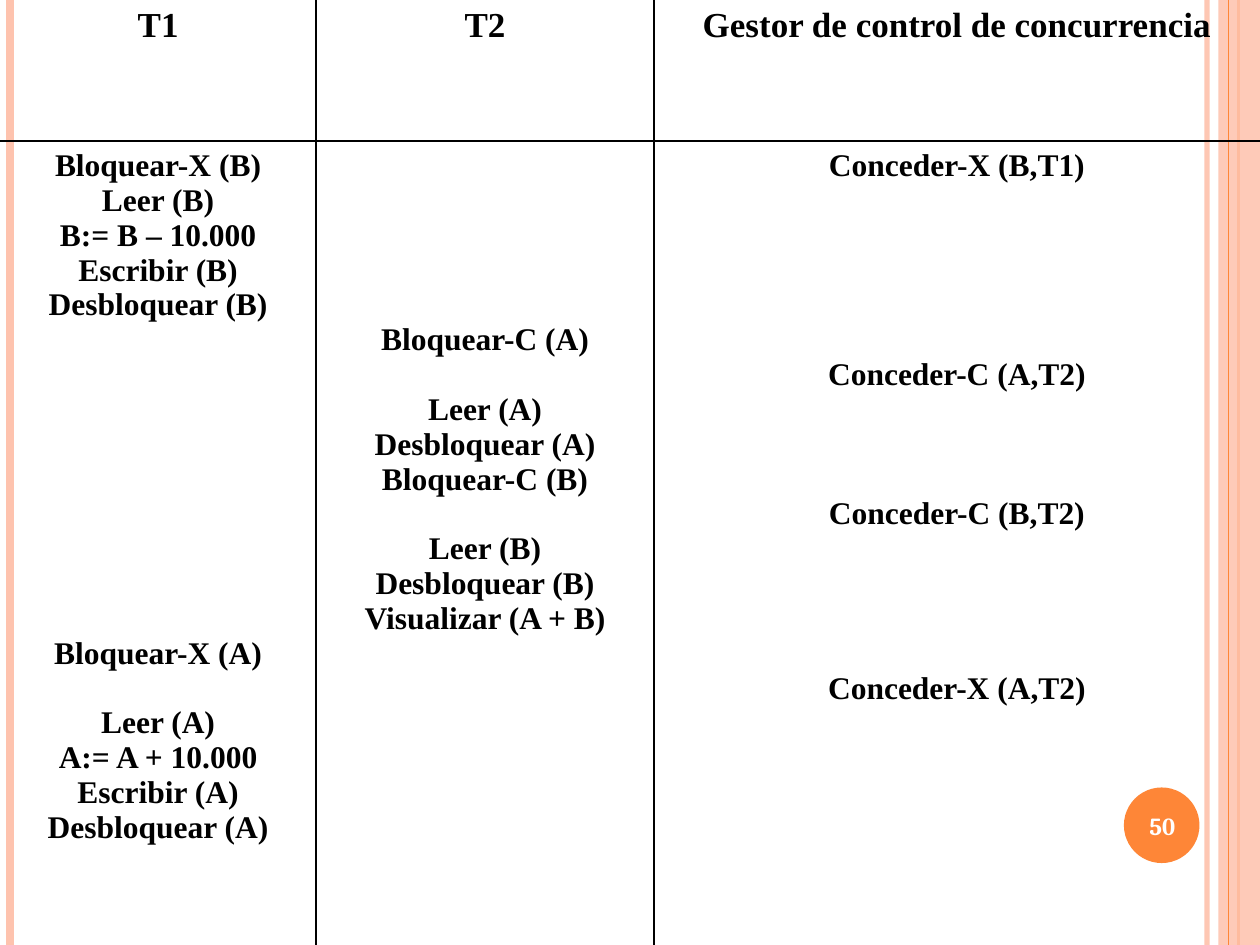
from dataclasses import dataclass

from lxml import etree
from pptx import Presentation
from pptx.dml.color import RGBColor
from pptx.enum.shapes import MSO_CONNECTOR, MSO_SHAPE
from pptx.enum.text import MSO_ANCHOR, PP_ALIGN
from pptx.oxml.ns import qn
from pptx.util import Inches, Pt

STRAIGHT = MSO_CONNECTOR.STRAIGHT
RECT, OVAL = MSO_SHAPE.RECTANGLE, MSO_SHAPE.OVAL
CENTER, MIDDLE = PP_ALIGN.CENTER, MSO_ANCHOR.MIDDLE


@dataclass(frozen=True)
class Theme:
    ink: str = "000000"
    white: str = "FFFFFF"
    orange: str = "FE8637"
    peach: str = "FEC3AE"
    body_font: str = "Times New Roman"
    number_font: str = "Cambria"
    head_size: float = 20
    body_size: float = 18
    number_size: float = 14
    step: float = 19.9  # height of one time step in the schedule
    border: float = 1


T = Theme()
PLAIN_TABLE = "{2D5ABB26-0587-4C30-8999-92F81FD0307C}"
WIDTH, HEIGHT = 10, 7.5
COLUMNS = (2.51, 2.68, 4.81)
ROWS = (1.12, 6.38)

# Each column: heading, then its operations keyed by time step
SCHEDULE = (
    ("T1", {0: "Bloquear-X (B)", 1: "Leer (B)", 2: "B:= B – 10.000",
            3: "Escribir (B)", 4: "Desbloquear (B)", 14: "Bloquear-X (A)",
            16: "Leer (A)", 17: "A:= A + 10.000", 18: "Escribir (A)",
            19: "Desbloquear (A)"}),
    ("T2", {5: "Bloquear-C (A)", 7: "Leer (A)", 8: "Desbloquear (A)",
            9: "Bloquear-C (B)", 11: "Leer (B)", 12: "Desbloquear (B)",
            13: "Visualizar (A + B)"}),
    ("Gestor de control de concurrencia",
     {0: "Conceder-X (B,T1)", 6: "Conceder-C (A,T2)",
      10: "Conceder-C (B,T2)", 15: "Conceder-X (A,T2)"}),
)


def rgb(color):
    return RGBColor.from_string(color)


def set_alpha(shape, percent):
    for clr in shape._element.spPr.iter(qn("a:srgbClr")):
        etree.SubElement(clr, qn("a:alpha")).set("val", str(percent * 1000))


def add_run(p, text, font, size, color):
    p.alignment = CENTER
    r = p.add_run()
    r.text = text
    r.font.name, r.font.size, r.font.bold = font, Pt(size), True
    r.font.color.rgb = rgb(color)


def add_rail(s, x, top, height, color, width, alpha=100):
    line = s.shapes.add_connector(STRAIGHT, Inches(x), Inches(top),
                                  Inches(x), Inches(top + height))
    line.line.color.rgb = rgb(color)
    line.line.width = Pt(width)
    etree.SubElement(line._element.spPr, qn("a:effectLst"))
    if alpha < 100:
        set_alpha(line, alpha)


def add_solid(s, kind, left, top, width, height, color):
    sp = s.shapes.add_shape(kind, Inches(left), Inches(top),
                            Inches(width), Inches(height))
    sp.shadow.inherit = False
    sp.fill.solid()
    sp.fill.fore_color.rgb = rgb(color)
    sp.line.fill.background()
    return sp


def add_frame(s, left, top, width, height):
    """Vertical rails and the translucent band at the right edge."""
    right = left + width
    add_rail(s, right - 0.42, top, height, T.peach, 3, 93)
    add_rail(s, left + 0.08, top, height, T.peach, 4.5)
    add_rail(s, right - 0.17, top, height, T.orange, 1.5)
    band = add_solid(s, RECT, right - 0.33, top, 0.33, height, T.peach)
    set_alpha(band, 87)
    add_rail(s, right - 0.25, top, height, T.orange, 0.75)


def add_page_number(s, left, top, size, number):
    add_solid(s, OVAL, left, top, size, size, T.orange)
    box = s.shapes.add_textbox(Inches(left - 0.03), Inches(top + 0.02),
                               Inches(size + 0.07), Inches(size - 0.03))
    tf = box.text_frame
    tf.word_wrap = True
    tf.vertical_anchor = MIDDLE
    add_run(tf.paragraphs[0], number, T.number_font, T.number_size, T.white)


def set_borders(cell, sides):
    """Draw the given sides, listed in schema order L, R, T, B."""
    tc_pr = cell._tc.get_or_add_tcPr()
    for i, side in enumerate(sides):
        ln = etree.Element(qn(f"a:ln{side}"), w=str(Pt(T.border)))
        fill = etree.SubElement(ln, qn("a:solidFill"))
        etree.SubElement(fill, qn("a:srgbClr")).set("val", T.ink)
        tc_pr.insert(i, ln)


def fill_operations(cell, operations):
    """Place operations on their time steps by margin and spacing."""
    tf = cell.text_frame
    first = min(operations)
    cell.margin_top = Inches(0.06) + Pt(T.step * first)
    previous = first - 1
    for step, text in operations.items():
        p = tf.paragraphs[0] if step == first else tf.add_paragraph()
        p.line_spacing = Pt(T.step)
        p.space_before = Pt(T.step * (step - previous - 1))
        add_run(p, text, T.body_font, T.body_size, T.ink)
        previous = step


def add_schedule(s, left, top, width, height):
    frame = s.shapes.add_table(len(ROWS), len(COLUMNS), Inches(left),
                               Inches(top), Inches(width), Inches(height))
    table = frame.table
    table.first_row = table.horz_banding = False
    table._tbl.tblPr.find(qn("a:tableStyleId")).text = PLAIN_TABLE
    for row, h in zip(table.rows, ROWS):
        row.height = Inches(h)
    last = len(COLUMNS) - 1
    for c, (heading, operations) in enumerate(SCHEDULE):
        table.columns[c].width = Inches(COLUMNS[c])
        head, body = table.cell(0, c), table.cell(1, c)
        add_run(head.text_frame.paragraphs[0], heading,
                T.body_font, T.head_size, T.ink)
        fill_operations(body, operations)
        sides = ("L" if c > 0 else "") + ("R" if c < last else "")
        for cell, edge in ((head, "B"), (body, "T")):
            cell.fill.background()
            set_borders(cell, sides + edge)


def main():
    prs = Presentation()
    prs.slide_width, prs.slide_height = Inches(WIDTH), Inches(HEIGHT)
    s = prs.slides.add_slide(prs.slide_layouts[6])
    add_frame(s, 0, 0, WIDTH, HEIGHT)
    add_page_number(s, 8.92, 6.25, 0.6, "50")
    add_schedule(s, 0, 0, WIDTH, HEIGHT)
    prs.save("out.pptx")


if __name__ == "__main__":
    main()
